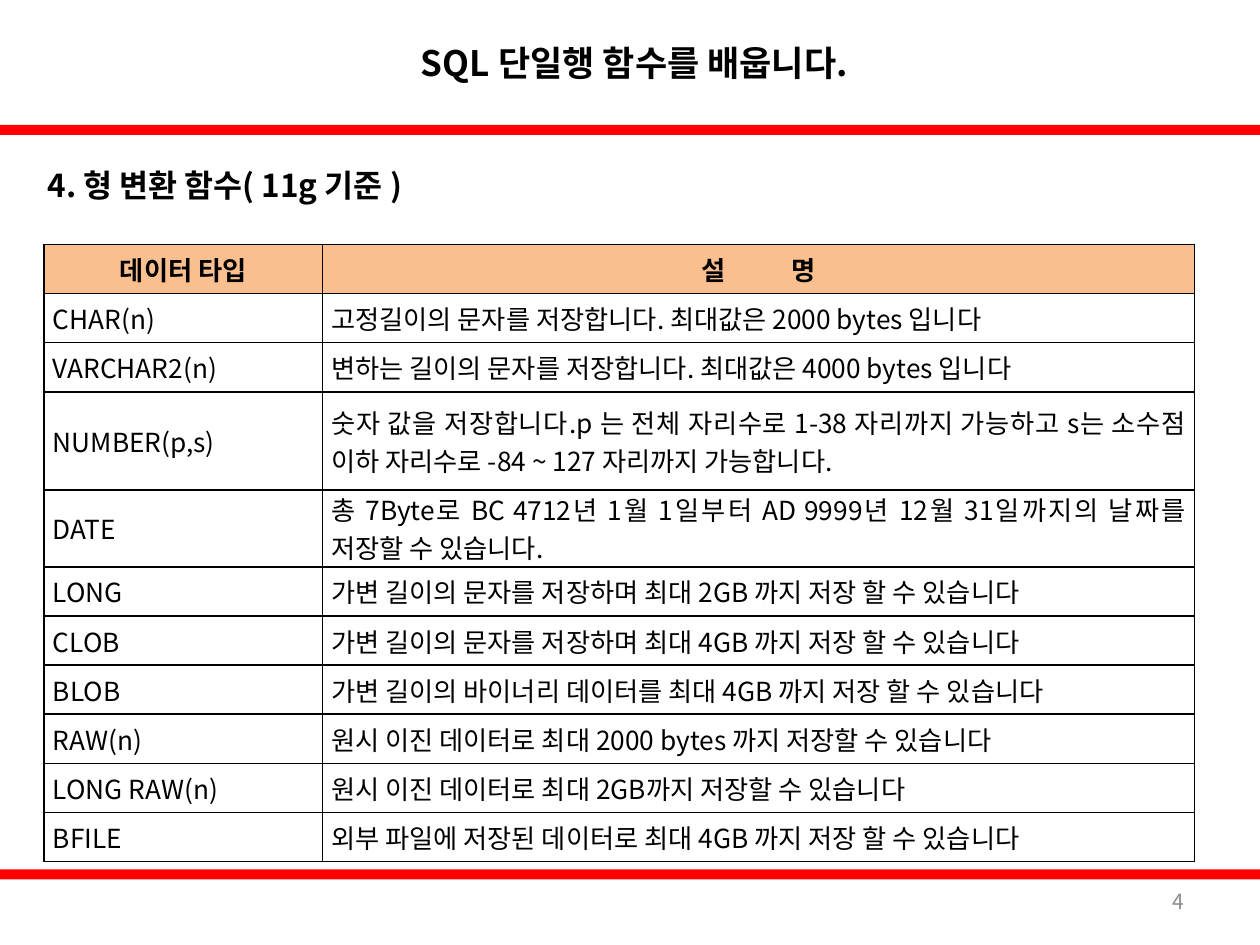
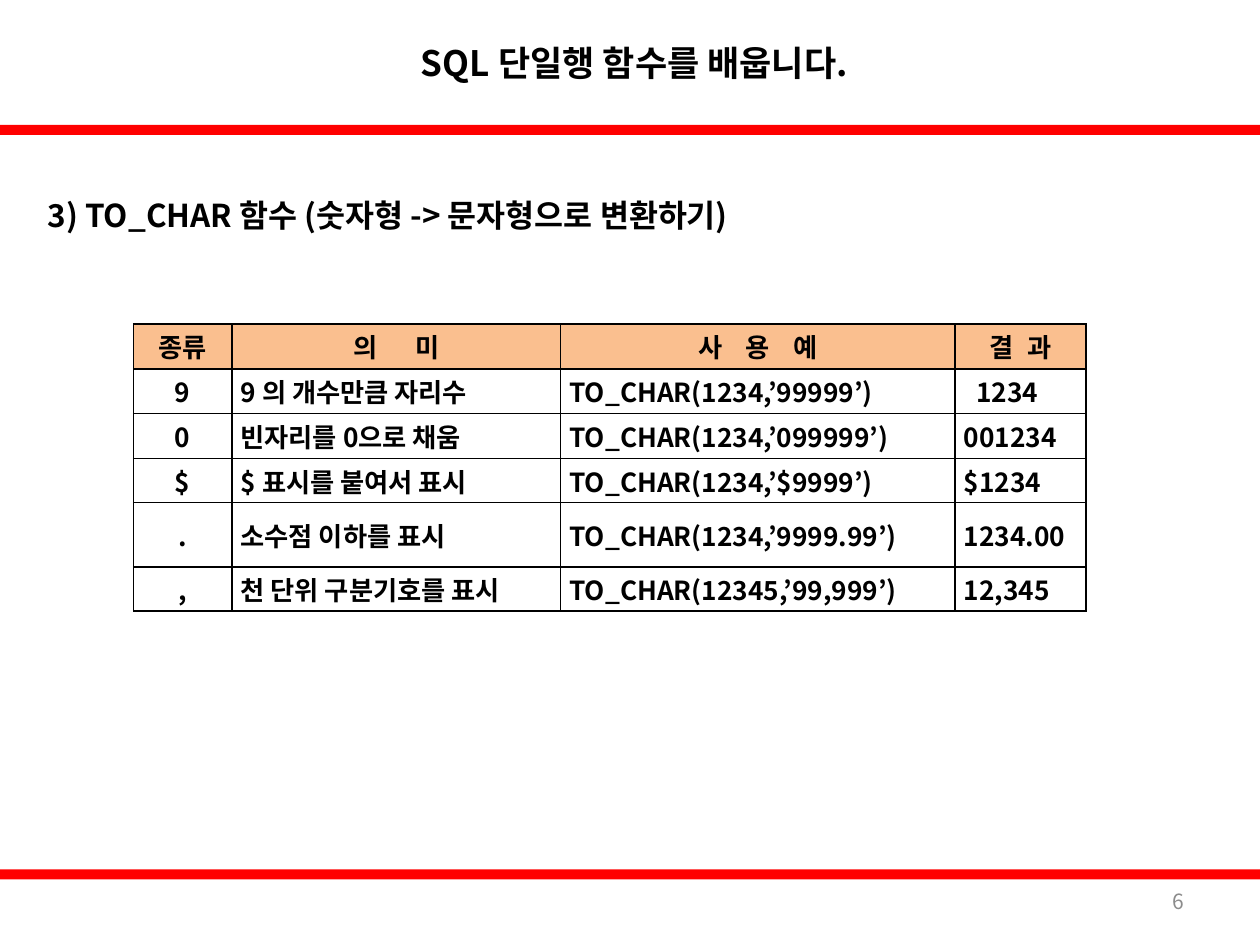
import pptx
import pptx.dml.color
import pptx.enum.shapes
import pptx.enum.text
import pptx.oxml.ns
import pptx.util
from lxml import etree

Inches = pptx.util.Inches
Pt = pptx.util.Pt
ALIGN = pptx.enum.text.PP_ALIGN
MIDDLE = pptx.enum.text.MSO_ANCHOR.MIDDLE

FONT = "Noto Sans CJK KR"
BLACK, RED, PEACH, GREY = "000000", "FF0000", "FABF8F", "8C8C8C"
LESSON = "SQL 단일행 함수를 배웁니다."
BAND_TOPS = (0.99, 6.9)

# Header labels are (text, letter spacing in points).
TYPE_HEADERS = [("데이터 타입", 0), ("설 명", 17)]
TYPE_ROWS = [
    ("CHAR(n)", "고정길이의 문자를 저장합니다. 최대값은 2000 bytes 입니다"),
    ("VARCHAR2(n)", "변하는 길이의 문자를 저장합니다. 최대값은 4000 bytes 입니다"),
    ("NUMBER(p,s)", "숫자 값을 저장합니다.p 는 전체 자리수로 1-38 자리까지 가능하고 "
                    "s는 소수점 이하 자리수로 -84 ~ 127 자리까지 가능합니다."),
    ("DATE", "총 7Byte로 BC 4712년 1월 1일부터 AD 9999년 12월 31일까지의 "
             "날짜를 저장할 수 있습니다."),
    ("LONG", "가변 길이의 문자를 저장하며 최대 2GB 까지 저장 할 수 있습니다"),
    ("CLOB", "가변 길이의 문자를 저장하며 최대 4GB 까지 저장 할 수 있습니다"),
    ("BLOB", "가변 길이의 바이너리 데이터를 최대 4GB 까지 저장 할 수 있습니다"),
    ("RAW(n)", "원시 이진 데이터로 최대 2000 bytes 까지 저장할 수 있습니다"),
    ("LONG RAW(n)", "원시 이진 데이터로 최대 2GB까지 저장할 수 있습니다"),
    ("BFILE", "외부 파일에 저장된 데이터로 최대 4GB 까지 저장 할 수 있습니다"),
]
FORMAT_HEADERS = [("종류", 0), ("의 미", 9), ("사 용 예", 5), ("결 과", 2)]
FORMAT_ROWS = [
    ("9", "9 의 개수만큼 자리수", "TO_CHAR(1234,’99999’)", "1234"),
    ("0", "빈자리를 0으로 채움", "TO_CHAR(1234,’099999’)", "001234"),
    ("$", "$ 표시를 붙여서 표시", "TO_CHAR(1234,’$9999’)", "$1234"),
    (".", "소수점 이하를 표시", "TO_CHAR(1234,’9999.99’)", "1234.00"),
    (",", "천 단위 구분기호를 표시", "TO_CHAR(12345,’99,999’)", "12,345"),
]


def color(hex_code):
    """Turn a hex string into a colour."""
    return pptx.dml.color.RGBColor.from_string(hex_code)


def add_run(paragraph, text, size, bold=False, ink=BLACK, spacing=0):
    """Add one run, with the font set for Latin and Korean letters."""
    run = paragraph.add_run()
    run.text = text
    run.font.size = Pt(size)
    run.font.bold = bold
    run.font.color.rgb = color(ink)
    run.font.name = FONT
    properties = run.font._element
    etree.SubElement(properties, pptx.oxml.ns.qn("a:ea"), typeface=FONT)
    if spacing:
        properties.set("spc", str(spacing * 100))


def add_text(slide, box, text, size, bold=True, ink=BLACK, align=ALIGN.LEFT,
             space_below=0.05):
    """Add a vertically centred line of text."""
    frame = slide.shapes.add_textbox(*map(Inches, box)).text_frame
    frame.word_wrap = True
    frame.vertical_anchor = MIDDLE
    frame.margin_bottom = Inches(space_below)
    frame.paragraphs[0].alignment = align
    add_run(frame.paragraphs[0], text, size, bold, ink)


def add_band(slide, top):
    """Add a red band across the slide."""
    band = slide.shapes.add_shape(
        pptx.enum.shapes.MSO_SHAPE.RECTANGLE,
        Inches(0), Inches(top), Inches(10), Inches(0.08))
    band.shadow.inherit = False
    band.fill.solid()
    band.fill.fore_color.rgb = color(RED)
    band.line.fill.background()


def add_page(deck, number):
    """Add a slide with bands, lesson title and page number."""
    slide = deck.slides.add_slide(deck.slide_layouts[6])
    for top in BAND_TOPS:
        add_band(slide, top)
    add_text(slide, (1.69, 0, 6.69, 0.99), LESSON, 20, align=ALIGN.CENTER)
    add_text(slide, (7.17, 6.95, 2.33, 0.4), str(number), 12, False, GREY, ALIGN.RIGHT)
    return slide


def add_borders(cell):
    """Draw a thin black line on all four sides of a cell."""
    qn = pptx.oxml.ns.qn
    properties = cell._tc.get_or_add_tcPr()
    for side in ("a:lnL", "a:lnR", "a:lnT", "a:lnB"):
        line = etree.SubElement(properties, qn(side), w=str(Pt(1)))
        fill = etree.SubElement(line, qn("a:solidFill"))
        etree.SubElement(fill, qn("a:srgbClr"), val=BLACK)


def prepare_cell(cell, align, fill=None):
    """Set a cell's borders, margins and fill; return its paragraph."""
    add_borders(cell)
    cell.margin_left = cell.margin_right = Inches(0.07)
    cell.margin_top = cell.margin_bottom = 0
    cell.vertical_anchor = MIDDLE
    if fill:
        cell.fill.solid()
        cell.fill.fore_color.rgb = color(fill)
    else:
        cell.fill.background()
    paragraph = cell.text_frame.paragraphs[0]
    paragraph.alignment = align
    return paragraph


def add_header(cell, label, spacing):
    """Fill a header cell, spreading the letters evenly up to the last one."""
    paragraph = prepare_cell(cell, ALIGN.CENTER, PEACH)
    if spacing:
        add_run(paragraph, label[:-1], 15, True, spacing=spacing)
        add_run(paragraph, label[-1], 15, True)
    else:
        add_run(paragraph, label, 15, True)


def add_grid(slide, left, top, widths, heights, headers, rows, aligns, bold):
    """Add a bordered table with a peach header row."""
    table = slide.shapes.add_table(
        len(heights), len(widths), Inches(left), Inches(top),
        Inches(sum(widths)), Inches(sum(heights))).table
    table.first_row = table.horz_banding = False
    for column, width in zip(table.columns, widths):
        column.width = Inches(width)
    for row, height in zip(table.rows, heights):
        row.height = Inches(height)
    for column, (label, spacing) in enumerate(headers):
        add_header(table.cell(0, column), label, spacing)
    for row, values in enumerate(rows, 1):
        for column, (value, align) in enumerate(zip(values, aligns)):
            paragraph = prepare_cell(table.cell(row, column), align)
            add_run(paragraph, value, 15, bold)
    return table


def add_types_page(deck):
    """Build the page that lists the data types."""
    slide = add_page(deck, 4)
    add_text(slide, (0.28, 1.07, 7.8, 0.79), "4. 형 변환 함수( 11g 기준 )", 18)
    heights = [0.39] * 3 + [0.78, 0.61] + [0.39] * 6
    add_grid(slide, 0.35, 1.94, (2.21, 6.92), heights, TYPE_HEADERS, TYPE_ROWS,
             [ALIGN.JUSTIFY] * 2, bold=False)


def add_formats_page(deck):
    """Build the page on TO_CHAR number formats."""
    slide = add_page(deck, 6)
    heights = [0.36, 0.35, 0.36, 0.35, 0.51, 0.35]
    aligns = (ALIGN.CENTER, ALIGN.JUSTIFY, ALIGN.LEFT, ALIGN.JUSTIFY)
    formats = add_grid(slide, 1.06, 2.57, (0.78, 2.61, 3.13, 1.04), heights,
                       FORMAT_HEADERS, FORMAT_ROWS, aligns, bold=True)
    padded_result = formats.cell(1, 3).text_frame.paragraphs[0]
    padded_result._p.get_or_add_pPr().set("marL", str(Inches(0.1)))
    add_text(slide, (0.28, 1.47, 8.66, 0.79),
             "3) TO_CHAR 함수 (숫자형 -> 문자형으로 변환하기)", 18, space_below=0.37)


def main():
    """Build and save the deck."""
    deck = pptx.Presentation()
    deck.slide_width, deck.slide_height = Inches(10), Inches(7.5)
    add_types_page(deck)
    add_formats_page(deck)
    deck.save("out.pptx")


main()
